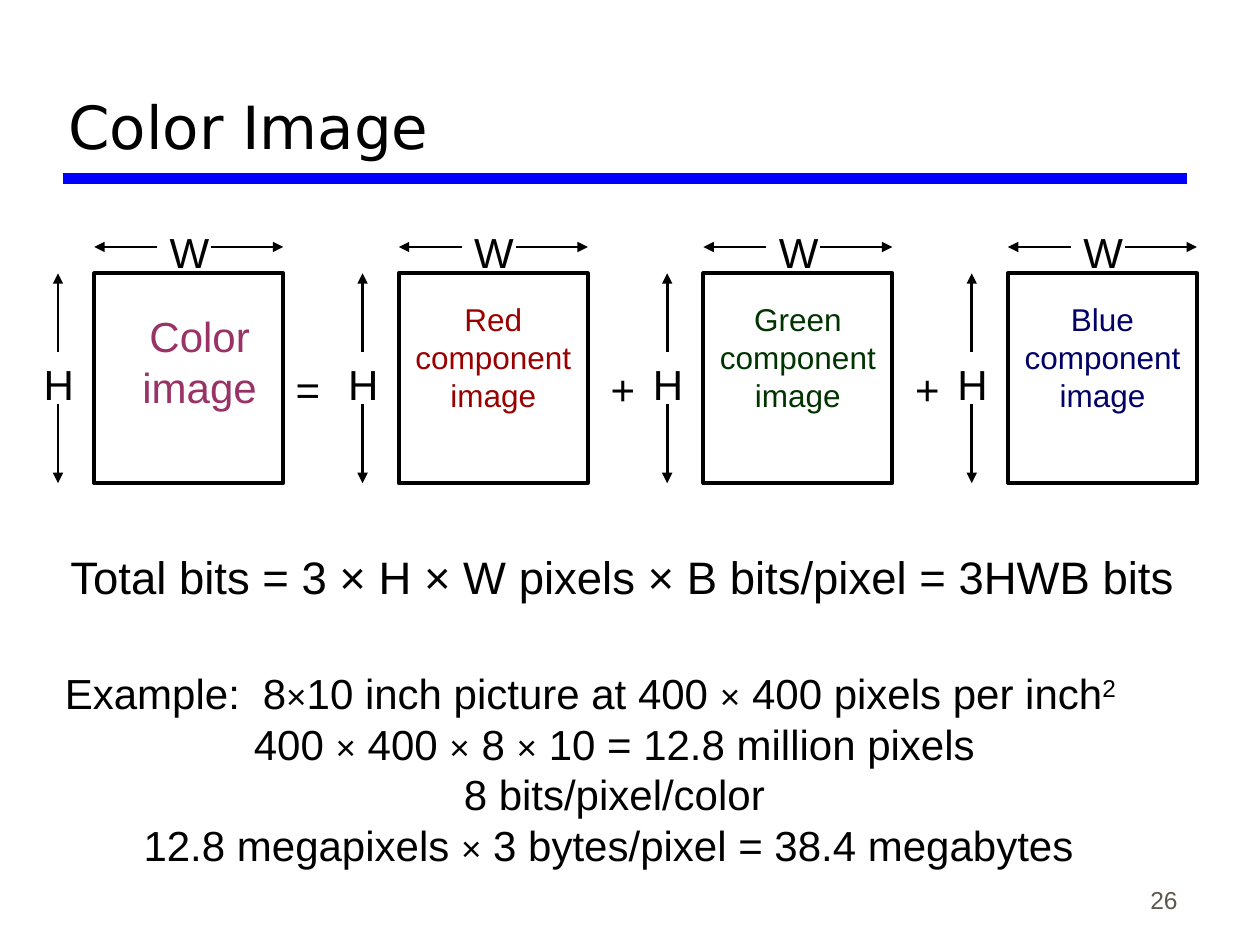
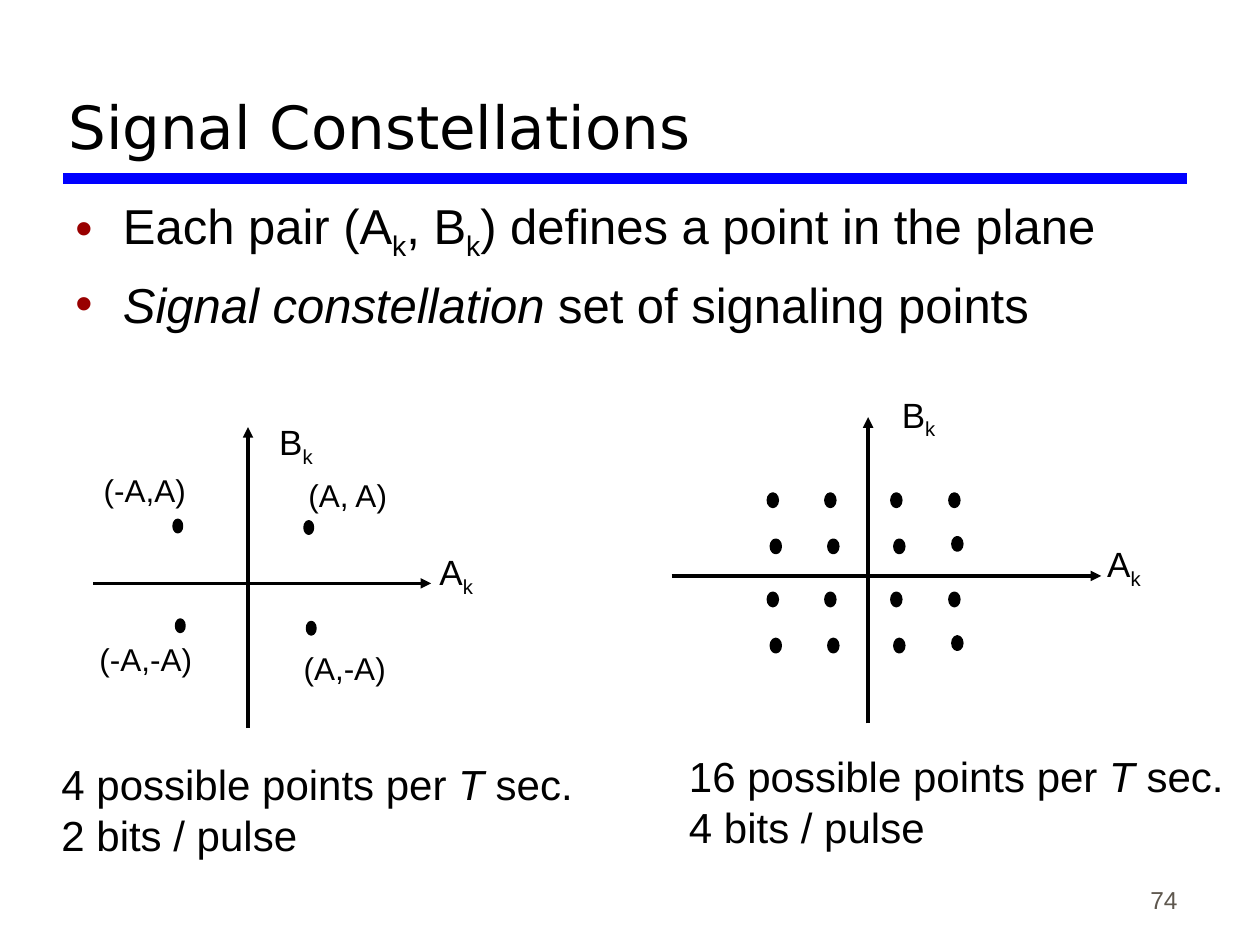
import lxml.etree
import pptx
import pptx.dml.color
import pptx.enum.shapes
import pptx.enum.text
import pptx.oxml.ns
import pptx.util
from pptx.util import Cm

BLACK = "000000"
RULE_BLUE = "0000FF"
NUMBER_GRAY = "5E574E"
BULLET_RED = "990000"
BODY_FONT = "Arial"
TITLE_FONT = "DejaVu Sans"

ALIGN = pptx.enum.text.PP_ALIGN
ANCHOR = pptx.enum.text.MSO_ANCHOR
SHAPE = pptx.enum.shapes.MSO_SHAPE


def color(hex_text):
    return pptx.dml.color.RGBColor.from_string(hex_text)


def styled(text, **text_format):
    """Pair a piece of text with the format that sets it apart in its paragraph."""
    return text, text_format


def add_element(parent, tag, **attributes):
    return lxml.etree.SubElement(parent, pptx.oxml.ns.qn(tag), **attributes)


def add_run(paragraph, text, size=24, font=BODY_FONT, fill=BLACK, italic=False, baseline=0):
    """Baseline is the raise of the text in percent; negative values lower it."""
    run = paragraph.add_run()
    run.text = text
    run.font.size = pptx.util.Pt(size)
    run.font.name = font
    run.font.italic = italic
    run.font.color.rgb = color(fill)
    if baseline:
        run.font._element.set("baseline", str(baseline * 1000))


class Deck:
    def __init__(self):
        self.presentation = pptx.Presentation()
        self.presentation.slide_width = Cm(25.4)
        self.presentation.slide_height = Cm(19.05)
        self.slide = None

    def start_slide(self, title, number):
        self.slide = self.presentation.slides.add_slide(self.presentation.slide_layouts[6])
        self.line(1.27, 3.6, 23.92, 3.6, width=6, stroke=RULE_BLUE)
        self.text([title], 1.13, 0.43, 22.78, 2.95, anchor=ANCHOR.BOTTOM, size=34, font=TITLE_FONT)
        self.text([number], 18.71, 17.28, 5.28, 1.27, anchor=ANCHOR.BOTTOM,
                  align=ALIGN.RIGHT, size=14, fill=NUMBER_GRAY)

    def text(self, paragraphs, left, top, width, height, align=ALIGN.LEFT,
             anchor=ANCHOR.TOP, **text_format):
        """Each paragraph is a string, or a list of strings and styled pieces."""
        box = self.slide.shapes.add_textbox(Cm(left), Cm(top), Cm(width), Cm(height))
        frame = box.text_frame
        frame.word_wrap = True
        frame.vertical_anchor = anchor
        for index, pieces in enumerate(paragraphs):
            paragraph = frame.add_paragraph() if index else frame.paragraphs[0]
            paragraph.alignment = align
            for piece in [pieces] if isinstance(pieces, str) else pieces:
                text, own_format = (piece, {}) if isinstance(piece, str) else piece
                add_run(paragraph, text, **{**text_format, **own_format})
        return frame

    def bullets(self, paragraphs, left, top, width, height, **text_format):
        frame = self.text(paragraphs, left, top, width, height, **text_format)
        for index, paragraph in enumerate(frame.paragraphs):
            properties = paragraph._p.get_or_add_pPr()
            properties.set("marL", str(Cm(0.96)))
            properties.set("indent", str(-Cm(0.96)))
            bullet_color = add_element(properties, "a:buClr")
            add_element(bullet_color, "a:srgbClr", val=BULLET_RED)
            add_element(properties, "a:buFont", typeface=BODY_FONT)
            add_element(properties, "a:buChar", char="•")
            if index:
                paragraph.space_before = pptx.util.Pt(7)

    def line(self, x1, y1, x2, y2, width=1.5, stroke=BLACK, arrow=False):
        connector = self.slide.shapes.add_connector(
            pptx.enum.shapes.MSO_CONNECTOR.STRAIGHT, Cm(x1), Cm(y1), Cm(x2), Cm(y2))
        connector.line.width = pptx.util.Pt(width)
        connector.line.color.rgb = color(stroke)
        properties = connector._element.spPr
        if arrow:
            add_element(properties.find(pptx.oxml.ns.qn("a:ln")), "a:tailEnd", type="triangle")
        add_element(properties, "a:effectLst")

    def shape(self, kind, left, top, width, height, fill=None, line_width=2.0):
        shape = self.slide.shapes.add_shape(kind, Cm(left), Cm(top), Cm(width), Cm(height))
        shape.shadow.inherit = False
        if fill:
            shape.fill.solid()
            shape.fill.fore_color.rgb = color(fill)
        else:
            shape.fill.background()
        shape.line.color.rgb = color(BLACK)
        shape.line.width = pptx.util.Pt(line_width)

    def sized_frame(self, left):
        """Draw a rectangle with its W and H dimension arrows."""
        top, width, height = 5.51, 3.81, 4.23
        self.shape(SHAPE.RECTANGLE, left, top, width, height, line_width=2.25)
        width_y, height_x = top - 0.53, left - 0.73
        self.line(left + 1.27, width_y, left, width_y, arrow=True)
        self.line(left + 2.36, width_y, left + width, width_y, arrow=True)
        self.line(height_x, top + 1.58, height_x, top, arrow=True)
        self.line(height_x, top + 2.64, height_x, top + height, arrow=True)
        self.text(["W"], left + 1.27, top - 1.06, 1.27, 1.27)
        self.text(["H"], left - 1.27, top + 1.59, 1.27, 1.27)

    def axes(self, origin, x_range, y_range, a_label, b_label):
        """Draw the axes through the origin and name them at the given corners."""
        x, y = origin
        self.line(x, y_range[0], x, y_range[1], width=2, arrow=True)
        self.line(x_range[0], y, x_range[1], y, width=2, arrow=True)
        for letter, corner in (("A", a_label), ("B", b_label)):
            self.text([[letter, styled("k", baseline=-25)]], *corner, 1.6, 1.22, size=20)

    def dot(self, left, top, width, height):
        self.shape(SHAPE.OVAL, left, top, width, height, fill=BLACK)

    def point_summary(self, points, bits, left, top):
        self.text([[f"{points} possible points per ", styled("T", italic=True), " sec."],
                   f"{bits} bits / pulse"], left, top, 11.6, 2.29)


def build_color_image(deck):
    deck.start_slide("Color Image", "26")
    frame_lefts = [1.9 + 6.14 * index for index in range(4)]
    for left in frame_lefts:
        deck.sized_frame(left)
    for left, sign, offset in zip(frame_lefts, "=++", (3.81, 4.02, 4.02)):
        deck.text([sign], left + offset, 7.2, 1.07, 1.27)

    deck.text(["Color image"], 2.54, 6.14, 2.97, 2.29, align=ALIGN.CENTER, fill="993366")
    components = (("Red", "990000"), ("Green", "003300"), ("Blue", "000066"))
    for left, (name, fill) in zip(frame_lefts[1:], components):
        deck.text([f"{name} component image"], left, 5.93, 3.81, 2.54,
                  align=ALIGN.CENTER, size=18, fill=fill)

    deck.text(["Total bits = 3 × H × W pixels × B bits/pixel = 3HWB bits"],
              1.17, 10.95, 23.39, 2.46, size=26)
    times = styled("×", size=20)
    example = deck.text([
        ["Example:\t8", times, "10 inch picture at 400 ", times, " 400 pixels per inch",
         styled("2", baseline=30)],
        ["400 ", times, " 400 ", times, " 8 ", times, " 10 = 12.8 million pixels"],
        "8 bits/pixel/color",
        ["12.8 megapixels ", times, " 3 bytes/pixel = 38.4 megabytes "],
    ], 1.06, 13.34, 22.65, 4.32, align=ALIGN.CENTER)
    first = example.paragraphs[0]
    first.alignment = ALIGN.LEFT
    tab_stops = add_element(first._p.get_or_add_pPr(), "a:tabLst")
    add_element(tab_stops, "a:tab", pos=str(Cm(3.99)), algn="l")


def build_signal_constellations(deck):
    deck.start_slide("Signal Constellations", "74")
    lowered_k = styled("k", baseline=-25)
    deck.bullets([
        ["Each pair (A", lowered_k, ", B", lowered_k, ") defines a point in the plane"],
        [styled("Signal constellation", italic=True), " set of signaling points"],
    ], 1.27, 3.81, 22.71, 3.48, size=28)

    deck.axes((5, 11.76), (1.88, 8.69), (14.68, 8.61), a_label=(8.61, 10.97), b_label=(5.38, 8.36))
    for left, top in ((3.51, 10.49), (6.15, 10.52), (3.56, 12.5), (6.2, 12.55)):
        deck.dot(left, top, 0.15, 0.23)
    point_labels = (("(-A,A)", 2.92, 9.37), ("(A, A)", 7.01, 9.47),
                    ("(-A,-A)", 2.94, 12.78), ("(A,-A)", 6.95, 12.95))
    label_width = 3
    for label, center, top in point_labels:
        deck.text([label], center - label_width / 2, top, label_width, 1.02,
                  align=ALIGN.CENTER, size=18)
    deck.point_summary(4, 2, 0.99, 15.17)

    deck.axes((17.5, 11.61), (13.54, 22.2), (14.58, 8.41), a_label=(22.07, 10.82), b_label=(17.93, 7.8))
    for upper_row in (9.96, 11.96):
        for left in (15.49, 16.65, 17.98, 19.15):
            deck.dot(left, upper_row, 0.18, 0.25)
            lower_row = upper_row + (0.88 if left == 19.15 else 0.93)
            deck.dot(left + 0.06, lower_row, 0.18, 0.25)
    deck.point_summary(16, 4, 13.64, 15.01)


def main():
    deck = Deck()
    build_color_image(deck)
    build_signal_constellations(deck)
    deck.presentation.save("out.pptx")


if __name__ == "__main__":
    main()
